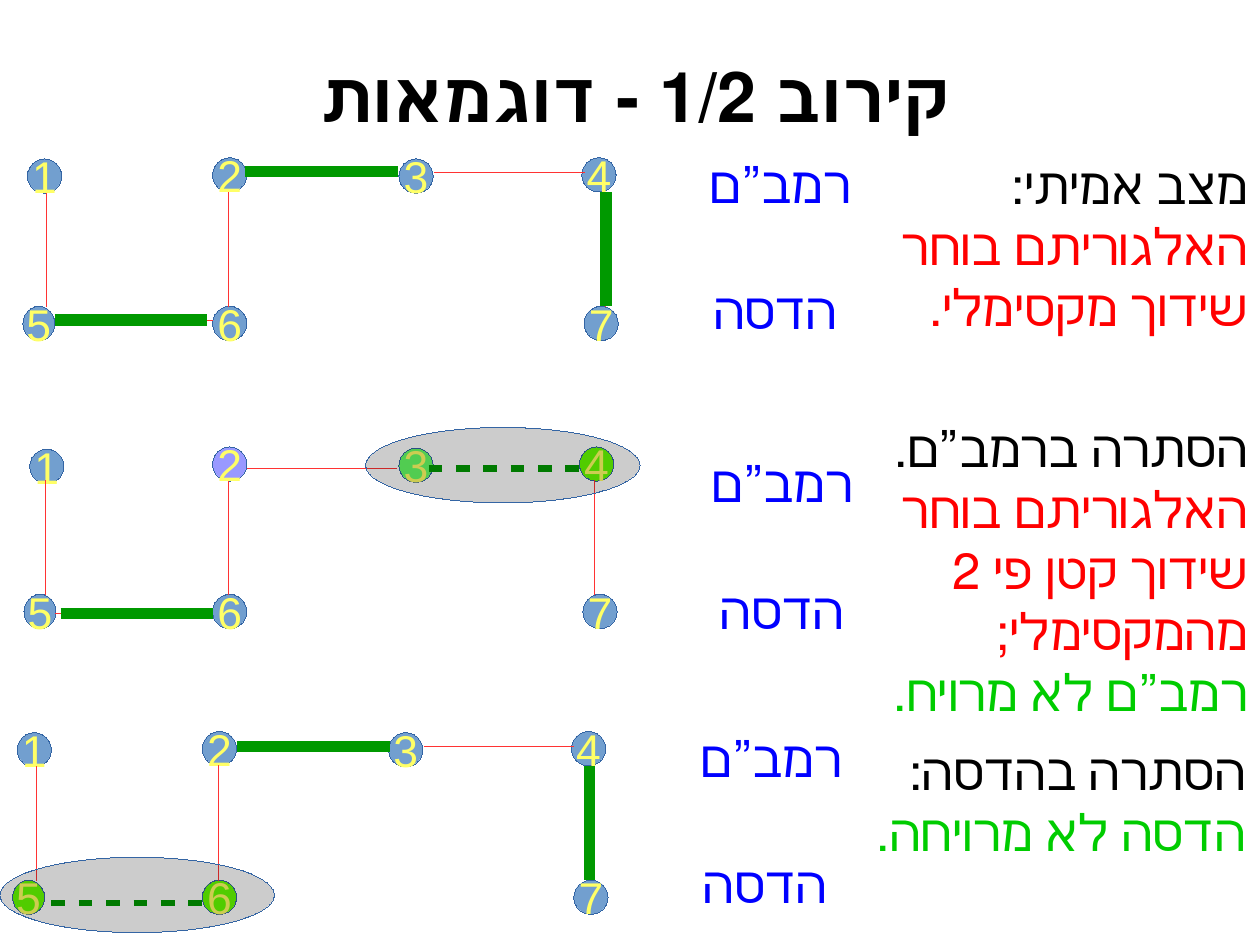
from lxml.etree import SubElement
from pptx import Presentation
from pptx.dml.color import RGBColor
from pptx.enum.shapes import MSO_CONNECTOR, MSO_SHAPE
from pptx.enum.text import MSO_ANCHOR, PP_ALIGN
from pptx.oxml.ns import qn
from pptx.util import Inches, Pt

COLORS = {
    "black": "000000", "red": "FF0000", "green": "00CC00", "label": "0000FF",
    "edge": "FF3333", "match": "009900", "outline": "3465A4", "digit": "FFFF66",
    "node": "729FCF", "violet": "9999FF", "mint": "66FF66", "lime": "66FF00",
}
FONT = "Arial"
SLIDE_WIDTH = Inches(28 / 2.54)
SLIDE_HEIGHT = Inches(21 / 2.54)
HAIRLINE = 0.01
LINE_STYLES = {"edge": ("edge", HAIRLINE), "match": ("match", 7.2), "hidden": ("match", 4.31)}
NODES = {
    "5": (0.2, 2.68), "1": (0.24, 1.39), "6": (1.86, 2.68), "3": (3.49, 1.39),
    "2": (1.86, 1.38), "4": (5.09, 1.38), "7": (5.11, 2.68),
}
NODE_SIZE = 0.3
NARROW_NODE_WIDTH = 0.28
GROUP_SIZE = (2.4, 0.66)
GRAPHS = [
    {
        "shift": (0, 0), "moved": {}, "node_colors": {}, "group": None,
        "lines": [
            ("edge", 0.41, 1.69, 0.41, 2.68), ("edge", 2, 2.68, 2, 1.68),
            ("edge", 3.8, 1.51, 5.11, 1.51), ("edge", 2.16, 1.5, 3.48, 1.5),
            ("edge", 5.3, 2.68, 5.3, 1.68), ("edge", 0.55, 2.8, 1.86, 2.8),
            ("match", 2.14, 1.5, 3.48, 1.5), ("match", 0.48, 2.8, 1.81, 2.8),
            ("match", 5.3, 1.68, 5.3, 2.68),
        ],
    },
    {
        "shift": (0, 2.53),
        "moved": {"1": (0.26, 3.93), "4": (5.07, 3.91), "5": (0.21, 5.2),
                  "6": (1.86, 5.2), "7": (5.1, 5.2)},
        "node_colors": {"2": "violet", "3": "mint", "4": "lime"}, "group": (3.2, 3.74),
        "lines": [
            ("edge", 0.4, 5.2, 0.4, 4.2), ("edge", 2.17, 4.1, 3.47, 4.1),
            ("edge", 1.86, 5.37, 0.49, 5.37), ("edge", 5.2, 5.2, 5.2, 4.2),
            ("edge", 2, 5.2, 2, 4.21), ("match", 0.53, 5.37, 1.86, 5.37),
            ("hidden", 3.75, 4.1, 5.07, 4.1),
        ],
    },
    {
        "shift": (-0.09, 5.02), "moved": {},
        "node_colors": {"5": "lime", "6": "lime"}, "group": (0, 7.5),
        "lines": [
            ("edge", 0.32, 6.71, 0.32, 7.7), ("edge", 1.91, 7.7, 1.91, 6.7),
            ("edge", 3.71, 6.53, 5.02, 6.53), ("match", 2.07, 6.53, 3.41, 6.53),
            ("match", 5.16, 6.7, 5.16, 7.7), ("hidden", 0.45, 7.9, 1.77, 7.9),
        ],
    },
]
TITLE = ((0.1, 0.15, 10.92, 1.35), [[("קירוב 1/2 - דוגמאות", "black")]])
LABELS = [
    ("רמב”ם", 6.11, 1.29), ("הדסה", 6.14, 2.39),
    ("רמב”ם", 6.13, 3.9), ("הדסה", 6.2, 5.01),
    ("רמב”ם", 6.03, 6.31), ("הדסה", 6.05, 7.41),
]
NOTES = [
    ((7.3, 1.3, 3.72, 2.3), [
        [("מצב אמיתי:", "black")],
        [("האלגוריתם בוחר שידוך מקסימלי.", "red")],
    ]),
    ((7.4, 3.6, 3.62, 3.09), [[
        ("הסתרה ברמב”ם. ", "black"),
        ("האלגוריתם בוחר שידוך קטן פי 2 מהמקסימלי; ", "red"),
        ("רמב”ם לא מרויח.", "green"),
    ]]),
    ((7.5, 6.42, 3.5, 1.85), [[
        ("הסתרה בהדסה: ", "black"), ("הדסה לא מרויחה.", "green"),
    ]]),
]


def color(name):
    return RGBColor.from_string(COLORS[name])


def format_font(font, size, color_name, bold=False):
    font.name, font.size, font.bold = FONT, Pt(size), bold
    font.color.rgb = color(color_name)


def add_text(slide, box, paragraphs, size=32, alignment=PP_ALIGN.RIGHT, rtl=True, bold=False):
    frame = slide.shapes.add_textbox(*map(Inches, box)).text_frame
    frame.word_wrap = True
    for index, runs in enumerate(paragraphs):
        paragraph = frame.add_paragraph() if index else frame.paragraphs[0]
        paragraph.alignment = alignment
        if rtl:
            paragraph._p.get_or_add_pPr().set("rtl", "1")
        for text, color_name in runs:
            run = paragraph.add_run()
            run.text = text
            format_font(run.font, size, color_name, bold)
    return frame


def add_ellipse(slide, left, top, width, height, fill):
    shape = slide.shapes.add_shape(MSO_SHAPE.OVAL, *map(Inches, (left, top, width, height)))
    shape.shadow.inherit = False
    shape.fill.solid()
    shape.fill.fore_color.rgb = color(fill)
    shape.line.color.rgb = color("outline")
    shape.line.width = Pt(HAIRLINE)
    return shape


def add_node(slide, digit, left, top, fill):
    width = NARROW_NODE_WIDTH if digit == "5" else NODE_SIZE
    frame = add_ellipse(slide, left, top, width, NODE_SIZE, fill).text_frame
    frame.word_wrap = False
    frame.vertical_anchor = MSO_ANCHOR.MIDDLE
    frame.text = digit
    paragraph = frame.paragraphs[0]
    paragraph.alignment = PP_ALIGN.CENTER
    format_font(paragraph.runs[0].font, 28, "digit")


def add_line(slide, style, *ends):
    connector = slide.shapes.add_connector(MSO_CONNECTOR.STRAIGHT, *map(Inches, ends))
    color_name, width = LINE_STYLES[style]
    connector.line.color.rgb = color(color_name)
    connector.line.width = Pt(width)
    if style == "hidden":
        dashes = SubElement(connector.line._get_or_add_ln(), qn("a:custDash"))
        SubElement(dashes, qn("a:ds"), d="200000", sp="200000")
    SubElement(connector._element.spPr, qn("a:effectLst"))


def add_graph(slide, graph):
    shift_x, shift_y = graph["shift"]
    for digit, (left, top) in NODES.items():
        place = graph["moved"].get(digit, (left + shift_x, top + shift_y))
        add_node(slide, digit, *place, graph["node_colors"].get(digit, "node"))
    for line in graph["lines"]:
        add_line(slide, *line)
    if graph["group"]:
        group = add_ellipse(slide, *graph["group"], *GROUP_SIZE, "black")
        fill_color = group._element.spPr.find(qn("a:solidFill"))[0]
        SubElement(fill_color, qn("a:alpha"), val="20000")


def main():
    """Build the slide of matching examples and save it."""
    presentation = Presentation()
    presentation.slide_width = SLIDE_WIDTH
    presentation.slide_height = SLIDE_HEIGHT
    slide = presentation.slides.add_slide(presentation.slide_layouts[6])
    title = add_text(slide, *TITLE, size=44, alignment=PP_ALIGN.CENTER, bold=True)
    title.vertical_anchor = MSO_ANCHOR.MIDDLE
    title.margin_left = title.margin_right = title.margin_top = title.margin_bottom = 0
    for graph in GRAPHS:
        add_graph(slide, graph)
    for text, left, top in LABELS:
        add_text(slide, (left, top, 2.25, 0.62), [[(text, "label")]],
                 alignment=PP_ALIGN.LEFT, rtl=False)
    for box, paragraphs in NOTES:
        add_text(slide, box, paragraphs)
    presentation.save("out.pptx")


if __name__ == "__main__":
    main()
